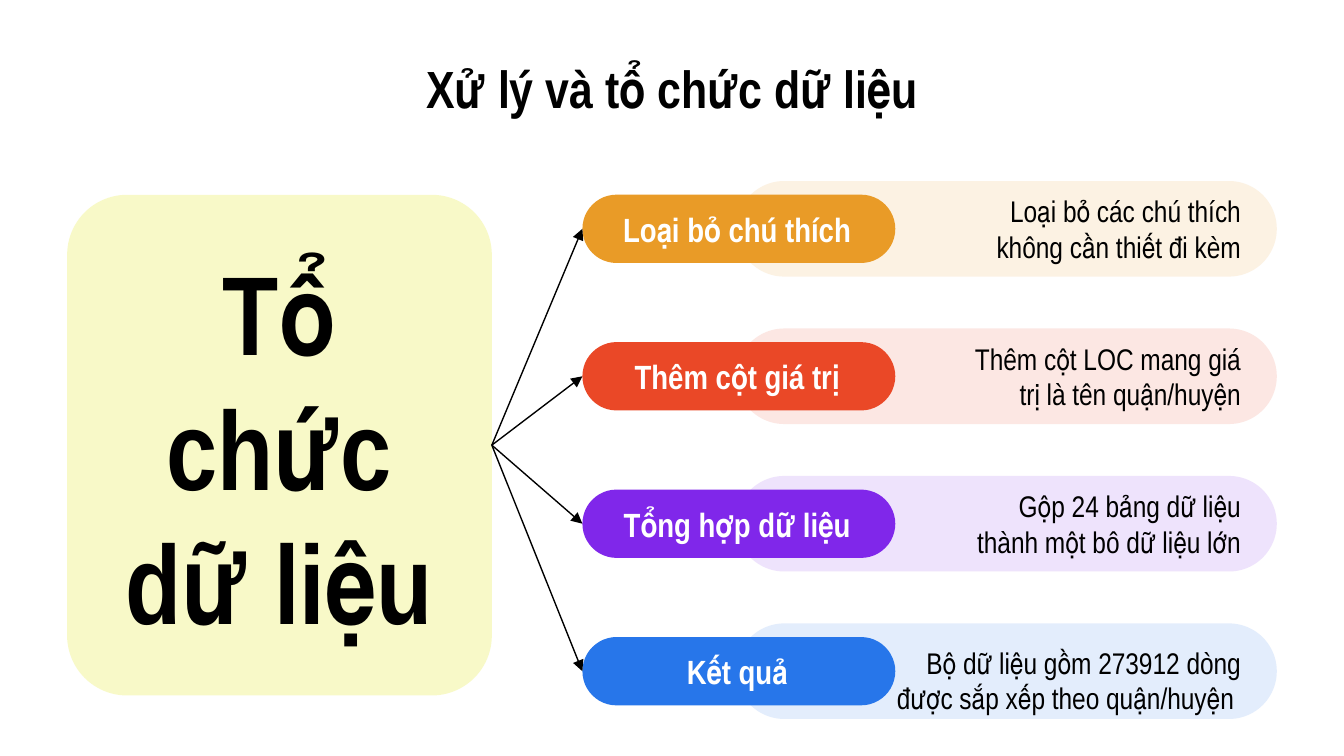
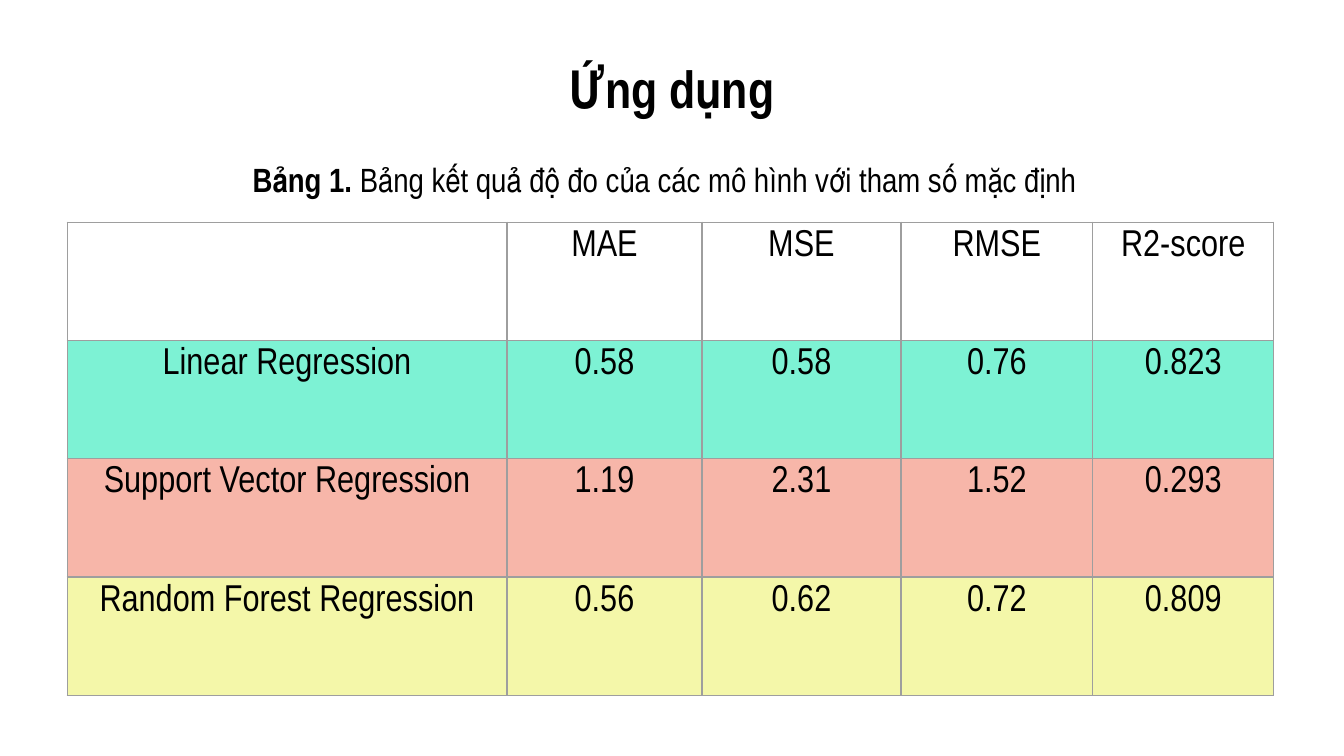
"""Build two slides: data organisation steps and a table of regression model scores."""
from dataclasses import dataclass

from lxml.etree import SubElement
from pptx import Presentation
from pptx.dml.color import RGBColor
from pptx.enum.shapes import MSO_CONNECTOR as Connector, MSO_SHAPE as Shape
from pptx.enum.text import MSO_ANCHOR as Anchor, PP_ALIGN as Align
from pptx.oxml.ns import qn
from pptx.util import Pt


@dataclass(frozen=True)
class Theme:
    font: str = "Arial Narrow"
    ink: str = "000000"
    white: str = "FFFFFF"
    panel: str = "E4EA27"
    grid: str = "9E9E9E"
    orange: str = "E99B27"
    red: str = "EA4827"
    purple: str = "8027EA"
    blue: str = "2776EA"
    mint: str = "7DF2D4"
    salmon: str = "F7B6A9"
    lemon: str = "F4F7A9"
    hero_size: int = 60
    title_size: int = 28
    table_size: int = 20
    label_size: int = 18
    body_size: int = 16
    line: float = 0.75


theme = Theme()


def write(frame, text, size, lead="", bold=False, color=theme.ink,
          align=Align.CENTER, inset=7.2, wrap=True):
    if inset is not None:
        frame.word_wrap = wrap
        frame.vertical_anchor = Anchor.MIDDLE
        frame.margin_left = frame.margin_right = Pt(inset)
        frame.margin_top = frame.margin_bottom = Pt(inset)
    para = frame.paragraphs[0]
    para.alignment = align
    for words, heavy in ((lead, True), (text, bold)):
        if words:
            span = para.add_run()
            span.text = words
            span.font.name = theme.font
            span.font.size = Pt(size)
            span.font.bold = heavy
            span.font.color.rgb = RGBColor.from_string(color)


def add_rounded(page, left, top, width, height, color, corner=0.5, opacity=100):
    box = page.shapes.add_shape(Shape.ROUNDED_RECTANGLE, Pt(left), Pt(top), Pt(width), Pt(height))
    box.adjustments[0] = corner
    box.shadow.inherit = False
    box.line.fill.background()
    box.fill.solid()
    box.fill.fore_color.rgb = RGBColor.from_string(color)
    if opacity < 100:
        tint = box.fill._xPr.find(".//" + qn("a:srgbClr"))
        SubElement(tint, qn("a:alpha"), val=str(opacity * 1000))
    return box


deck = Presentation()
deck.slide_width, deck.slide_height = Pt(720), Pt(405)
pages = []
for title in ("Xử lý và tổ chức dữ liệu", "Ứng dụng"):
    page = deck.slides.add_slide(deck.slide_layouts[6])
    title_box = page.shapes.add_textbox(Pt(36), Pt(32.4), Pt(648), Pt(29.5))
    write(title_box.text_frame, title, theme.title_size, bold=True)
    pages.append(page)
process_page, results_page = pages

panel = add_rounded(process_page, 36, 104.4, 227.5, 268.2, theme.panel, corner=0.141, opacity=25)
panel_text = process_page.shapes.add_textbox(Pt(49), Pt(133.2), Pt(201), Pt(211))
write(panel_text.text_frame, "Tổ chức dữ liệu", theme.hero_size, bold=True)

steps = [
    ("Loại bỏ chú thích", "Loại bỏ các chú thích không cần thiết đi kèm", theme.orange, 156.2, 0),
    ("Thêm cột giá trị", "Thêm cột LOC mang giá trị là tên quận/huyện", theme.red, 168.5, 0),
    ("Tổng hợp dữ liệu", "Gộp 24 bảng dữ liệu thành một bô dữ liệu lớn", theme.purple, 168.5, 0),
    ("Kết quả", "Bộ dữ liệu gồm 273912 dòng được sắp xếp theo quận/huyện ", theme.blue, 213, 4.8),
]
step_pitch = 79
detail_right = 672
for index, (label, detail, color, detail_width, drop) in enumerate(steps):
    top = 104.3 + index * step_pitch
    add_rounded(process_page, 394.5, top - 7.3, 289.5, 51.2, color, opacity=13)
    pill = add_rounded(process_page, 312, top, 167.6, 36.6, color)

    detail_box = process_page.shapes.add_textbox(
        Pt(detail_right - detail_width), Pt(top + 5.2 + drop), Pt(detail_width), Pt(26))
    write(detail_box.text_frame, detail, theme.body_size, align=Align.RIGHT)
    label_box = process_page.shapes.add_textbox(Pt(324.7), Pt(top + 5.2), Pt(140.4), Pt(26))
    write(label_box.text_frame, label, theme.label_size, bold=True, color=theme.white)

    arrow = process_page.shapes.add_connector(
        Connector.STRAIGHT, Pt(263.5), Pt(238.5), pill.left, pill.top + pill.height // 2)
    arrow.begin_connect(panel, 3)
    arrow.end_connect(pill, 1)
    arrow.line.color.rgb = RGBColor.from_string(theme.ink)
    arrow.line.width = Pt(theme.line)
    SubElement(arrow.line._get_or_add_ln(), qn("a:tailEnd"), type="triangle")
    SubElement(arrow._element.spPr, qn("a:effectLst"))

caption = results_page.shapes.add_textbox(Pt(128.3), Pt(81.4), Pt(464), Pt(29))
write(caption.text_frame, " Bảng kết quả độ đo của các mô hình với tham số mặc định",
      theme.label_size, lead="Bảng 1.", align=Align.LEFT, wrap=False)

scores = [
    (None, ["", "MAE", "MSE", "RMSE", "R2-score"]),
    (theme.mint, ["Linear Regression", "0.58", "0.58", "0.76", "0.823"]),
    (theme.salmon, ["Support Vector Regression", "1.19", "2.31", "1.52", "0.293"]),
    (theme.lemon, ["Random Forest Regression", "0.56", "0.62", "0.72", "0.809"]),
]
column_widths = [235.6, 104.5, 106.6, 102.8, 97]
row_height = 63.4
table = results_page.shapes.add_table(
    len(scores), len(column_widths), Pt(36), Pt(119),
    Pt(sum(column_widths)), Pt(row_height * len(scores))).table
table.first_row = table.horz_banding = False
for column, width in zip(table.columns, column_widths):
    column.width = Pt(width)
for row, (color, values) in zip(table.rows, scores):
    row.height = Pt(row_height)
    for cell, value in zip(row.cells, values):
        write(cell.text_frame, value, theme.table_size, inset=None)
        props = cell._tc.get_or_add_tcPr()
        for side in ("lnL", "lnR", "lnT", "lnB"):
            edge = SubElement(props, qn(f"a:{side}"), w=str(Pt(theme.line)))
            SubElement(SubElement(edge, qn("a:solidFill")), qn("a:srgbClr"), val=theme.grid)
        if color:
            cell.fill.solid()
            cell.fill.fore_color.rgb = RGBColor.from_string(color)
        else:
            cell.fill.background()

deck.save("out.pptx")
